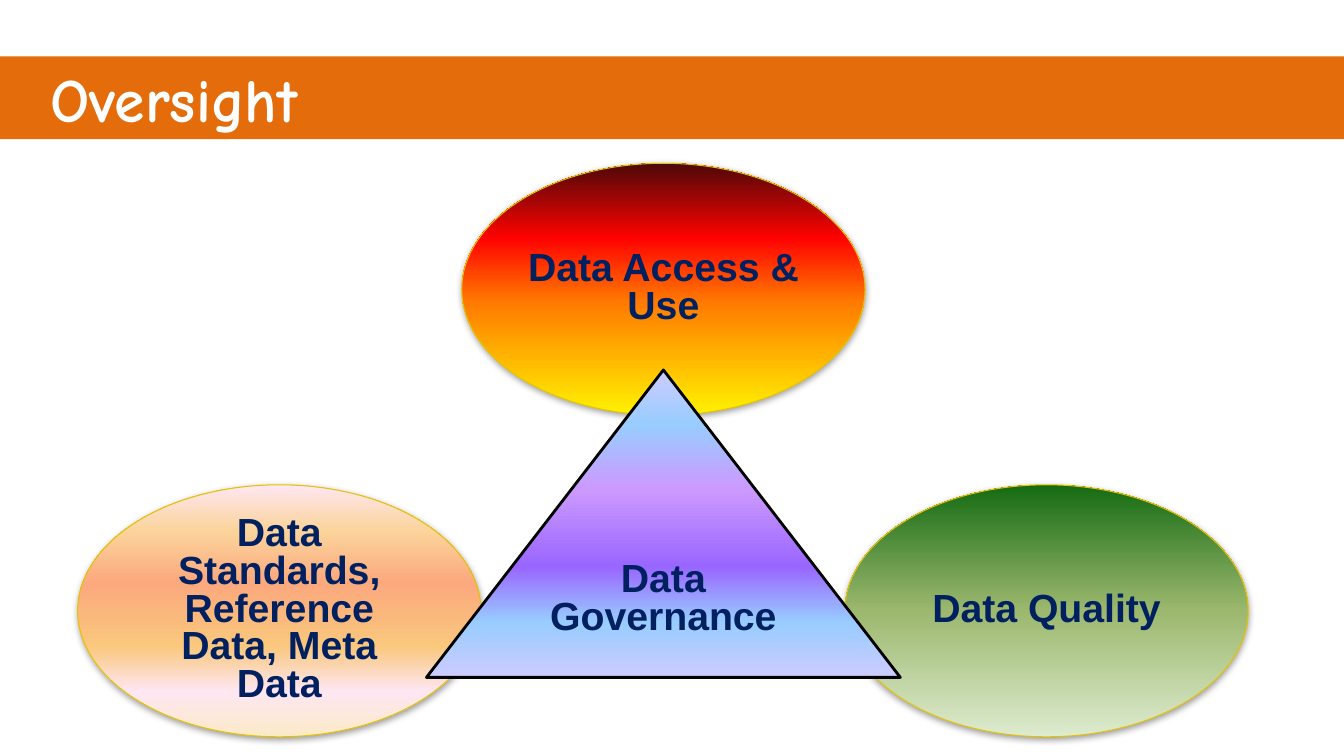
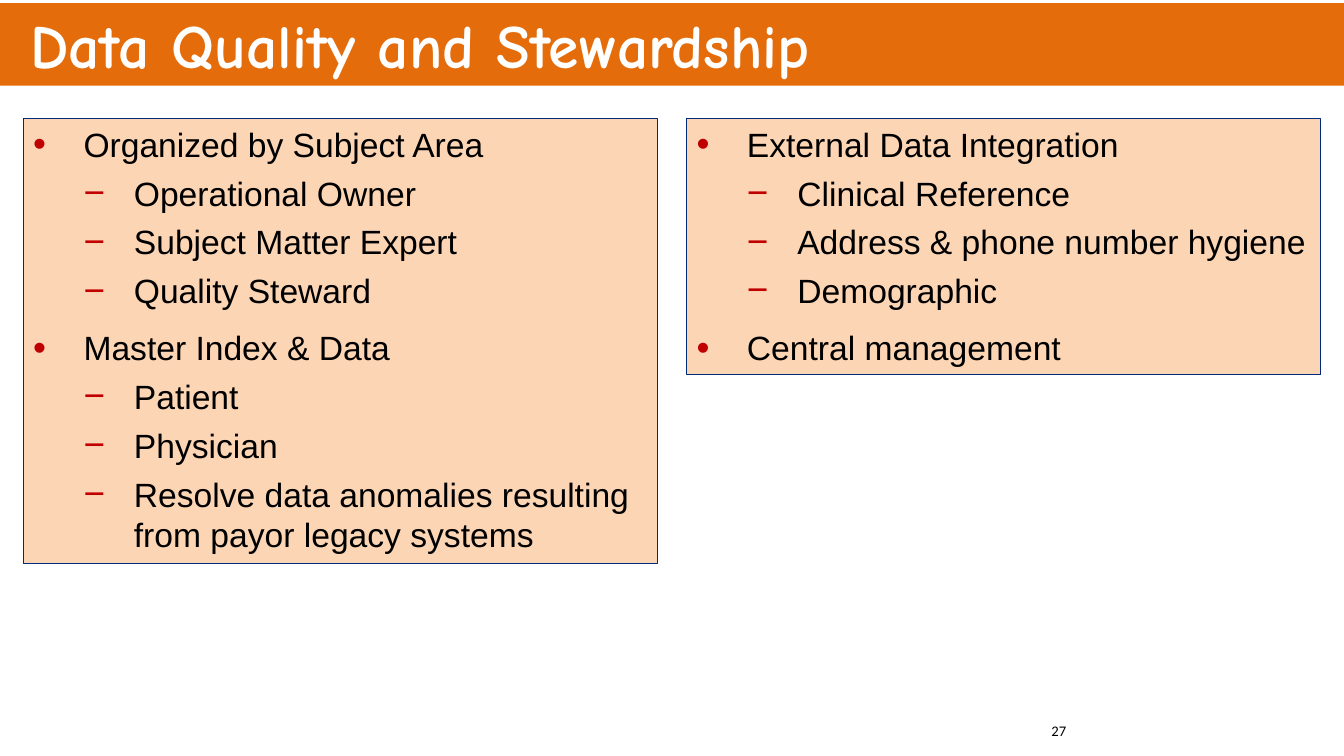
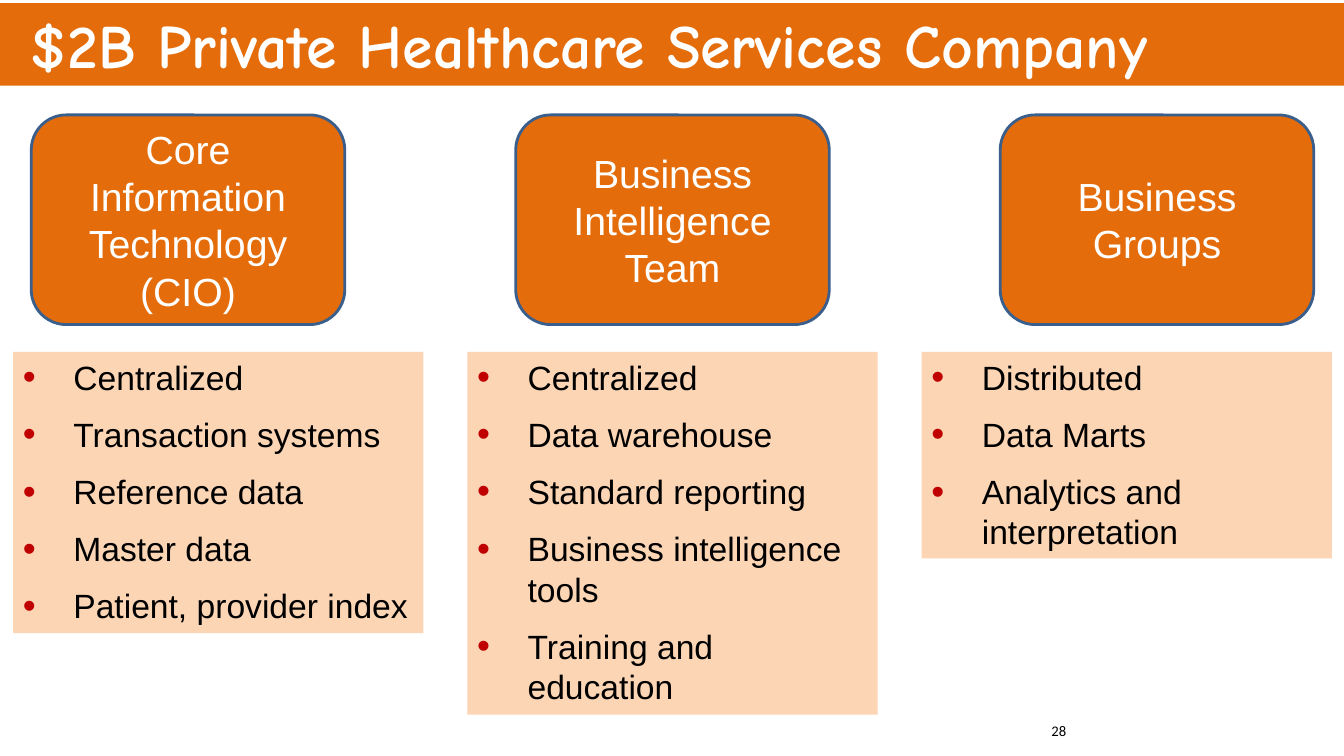
"""Build three slides on data governance, stewardship and team organisation."""
from dataclasses import dataclass

from lxml import etree
from pptx import Presentation
from pptx.dml.color import RGBColor
from pptx.enum.shapes import MSO_SHAPE
from pptx.enum.text import MSO_ANCHOR, MSO_AUTO_SIZE, PP_ALIGN
from pptx.oxml.ns import qn
from pptx.util import Inches, Pt

RECTANGLE = MSO_SHAPE.RECTANGLE
ROUNDED = MSO_SHAPE.ROUNDED_RECTANGLE
ELLIPSE = MSO_SHAPE.OVAL
TRIANGLE = MSO_SHAPE.ISOSCELES_TRIANGLE
TOP, MIDDLE = MSO_ANCHOR.TOP, MSO_ANCHOR.MIDDLE
LEFT, CENTER = PP_ALIGN.LEFT, PP_ALIGN.CENTER
FIXED_SIZE = MSO_AUTO_SIZE.NONE


@dataclass(frozen=True)
class Theme:
    orange: str = "E46C0A"
    peach: str = "FCD5B5"
    white: str = "FFFFFF"
    black: str = "000000"
    navy: str = "002060"
    gold: str = "E7C200"
    panel_line: str = "002A7E"
    team_line: str = "3A5F8C"
    bullet: str = "C00000"
    title_font: str = "Comic Neue"
    body_font: str = "Arial"
    number_font: str = "Calibri"
    title_size: float = 44
    label_size: float = 28
    body_size: float = 24
    number_size: float = 10.5


THEME = Theme()


def write(paragraph, text, size, color, font=THEME.body_font, bold=False, align=LEFT):
    paragraph.alignment = align
    run = paragraph.add_run()
    run.text = text
    run.font.name = font
    run.font.size = Pt(size)
    run.font.bold = bold
    run.font.color.rgb = RGBColor.from_string(color)


def add_box(slide, kind, bounds, fill, line, weight, anchor):
    box = slide.shapes.add_shape(kind, *map(Inches, bounds))
    box.shadow.inherit = False
    if isinstance(fill, str):
        box.fill.solid()
        box.fill.fore_color.rgb = RGBColor.from_string(fill)
    else:
        box.fill.gradient()
        box.fill.gradient_angle = 90
        stops = box._element.spPr.find(qn("a:gradFill")).find(qn("a:gsLst"))
        for old_stop in list(stops):
            stops.remove(old_stop)
        for percent, color in fill:
            stop = etree.SubElement(stops, qn("a:gs"), pos=str(percent * 1000))
            etree.SubElement(stop, qn("a:srgbClr"), val=color)
    if line:
        box.line.color.rgb = RGBColor.from_string(line)
        box.line.width = Pt(weight)
    else:
        box.line.fill.background()
    box.text_frame.word_wrap = True
    box.text_frame.vertical_anchor = anchor
    return box


prs = Presentation()
prs.slide_width, prs.slide_height = Inches(13.33), Inches(7.5)

HEADINGS = [
    ("Oversight", 0.56, 0.5, None),
    ("Data Quality and Stewardship", 0.03, 0.3, "27"),
    ("$2B Private Healthcare Services Company", 0.03, 0.3, "28"),
]
slides = []
for heading, band_top, indent, number in HEADINGS:
    slide = prs.slides.add_slide(prs.slide_layouts[5])
    slides.append(slide)
    title = slide.shapes.title
    title.left, title.top = Inches(0), Inches(band_top)
    title.width, title.height = prs.slide_width, Inches(0.82)
    title.fill.solid()
    title.fill.fore_color.rgb = RGBColor.from_string(THEME.orange)
    title.text_frame.auto_size = FIXED_SIZE
    title.text_frame.vertical_anchor = MIDDLE
    title.text_frame.margin_left = Inches(indent)
    write(title.text_frame.paragraphs[0], heading, THEME.title_size, THEME.white,
          THEME.title_font, bold=True)
    if number:
        page = slide.shapes.add_textbox(Inches(10.33), Inches(7.11), Inches(3), Inches(0.4))
        page.text_frame.word_wrap = True
        write(page.text_frame.paragraphs[0], number, THEME.number_size, THEME.black,
              THEME.number_font)
oversight, stewardship, company = slides

FIRE = [(0, "FFF200"), (45, "FF7A00"), (70, "FF0300"), (100, "4D0808")]
GREEN = [(0, "DDEBCF"), (50, "9CB86E"), (100, "156B13")]
SUNSET = [(0, "FBEAC7"), (18, "FEE7F2"), (36, "FAC77D"),
          (61, "FBA97D"), (82, "FBD49C"), (100, "FEE7F2")]
VIOLET = [(0, "CCCCFF"), (18, "99CCFF"), (36, "9966FF"),
          (61, "CC99FF"), (82, "99CCFF"), (100, "CCCCFF")]
DOMAINS = [
    (ELLIPSE, (4.58, 1.62, 4, 2.5), FIRE, ["Data Access & Use"]),
    (ELLIPSE, (8.38, 4.81, 4, 2.5), GREEN, ["Data Quality"]),
    (ELLIPSE, (0.77, 4.81, 4, 2.5), SUNSET, ["Data Standards, Reference Data, Meta Data"]),
    (TRIANGLE, (4.23, 3.67, 4.7, 3.05), VIOLET, ["Data", "Governance"]),
]
for kind, bounds, gradient, lines in DOMAINS:
    is_ellipse = kind == ELLIPSE
    line, weight = (THEME.gold, 0.75) if is_ellipse else (THEME.black, 2)
    domain = add_box(oversight, kind, bounds, gradient, line, weight, MIDDLE)
    frame = domain.text_frame
    frame.margin_left = frame.margin_right = 0
    frame.margin_top = frame.margin_bottom = Inches(0 if is_ellipse else 0.05)
    if is_ellipse:
        effects = domain._element.spPr.find(qn("a:effectLst"))
        shadow = etree.SubElement(effects, qn("a:outerShdw"), blurRad=str(Pt(5)),
                                  dist=str(Pt(1.6)), dir="5400000", rotWithShape="0")
        shade = etree.SubElement(shadow, qn("a:srgbClr"), val=THEME.black)
        etree.SubElement(shade, qn("a:alpha"), val="38000")
    for index, text in enumerate(lines):
        paragraph = frame.add_paragraph() if index else frame.paragraphs[0]
        paragraph.line_spacing = 0.8
        write(paragraph, text, THEME.label_size, THEME.navy, bold=True, align=CENTER)

TEAMS = ["Core Information Technology (CIO)", "Business Intelligence Team", "Business Groups"]
for index, team in enumerate(TEAMS):
    card = add_box(company, ROUNDED, (0.31 + index * 4.805, 1.14, 3.11, 2.08),
                   THEME.orange, THEME.team_line, 2, MIDDLE)
    write(card.text_frame.paragraphs[0], team, THEME.label_size, THEME.white, align=CENTER)

STEWARDSHIP_LISTS = [
    (4.41, [(0, "Organized by Subject Area"), (1, "Operational Owner"),
            (1, "Subject Matter Expert"), (1, "Quality Steward"),
            (0, "Master Index & Data"), (1, "Patient"), (1, "Physician"),
            (1, "Resolve data anomalies resulting from payor legacy systems")]),
    (2.54, [(0, "External Data Integration"), (1, "Clinical Reference"),
            (1, "Address & phone number hygiene"), (1, "Demographic"),
            (0, "Central management")]),
]
TEAM_LISTS = [
    (2.79, [(0, "Centralized"), (0, "Transaction systems"), (0, "Reference data"),
            (0, "Master data"), (0, "Patient, provider index")]),
    (3.6, [(0, "Centralized"), (0, "Data warehouse"), (0, "Standard reporting"),
           (0, "Business intelligence tools"), (0, "Training and education")]),
    (2.05, [(0, "Distributed"), (0, "Data Marts"), (0, "Analytics and interpretation")]),
]
PANEL_ROWS = [
    (stewardship, 0.23, 6.58, 1.18, 6.29, THEME.panel_line, STEWARDSHIP_LISTS),
    (company, 0.13, 4.505, 3.49, 4.07, None, TEAM_LISTS),
]
for slide, first_left, step, top, width, line, lists in PANEL_ROWS:
    for column, (height, items) in enumerate(lists):
        panel = add_box(slide, RECTANGLE, (first_left + column * step, top, width, height),
                        THEME.peach, line, 0.75, TOP)
        frame = panel.text_frame
        for index, (level, text) in enumerate(items):
            paragraph = frame.add_paragraph() if index else frame.paragraphs[0]
            properties = paragraph._p.get_or_add_pPr()
            properties.set("marL", str(Inches(0.5 + 0.5 * level)))
            properties.set("indent", str(Inches(-0.5)))
            color = etree.SubElement(properties, qn("a:buClr"))
            etree.SubElement(color, qn("a:srgbClr"), val=THEME.bullet)
            etree.SubElement(properties, qn("a:buSzPct"), val="110000")
            etree.SubElement(properties, qn("a:buFont"), typeface=THEME.body_font)
            etree.SubElement(properties, qn("a:buChar"), char="•−"[level])
            paragraph.level = level
            paragraph.space_before = Pt(6 if index and level == 0 else 0)
            paragraph.space_after = Pt(6)
            write(paragraph, text, THEME.body_size, THEME.black)

prs.save("out.pptx")
